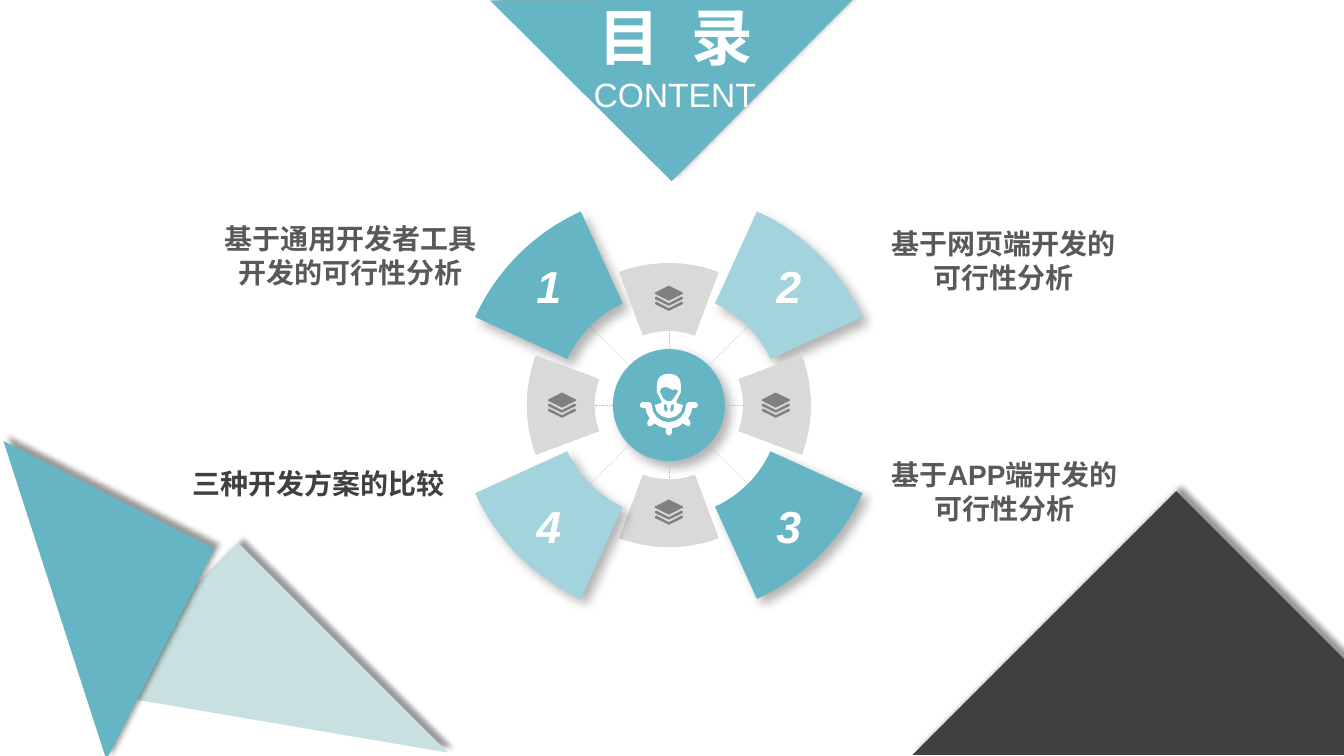
from math import cos, radians, sin

from lxml import etree
from pptx import Presentation
from pptx.dml.color import RGBColor
from pptx.enum import shapes, text
from pptx.oxml import ns
from pptx.util import Pt

TEAL = RGBColor(0x66, 0xB5, 0xC4)
LIGHT_TEAL = RGBColor(0xA3, 0xD3, 0xDD)
PALE = RGBColor(0xC8, 0xE0, 0xE0)
DARK = RGBColor(0x40, 0x40, 0x40)
TEXT_GREY = RGBColor(0x59, 0x59, 0x59)
ICON_GREY = RGBColor(0x80, 0x80, 0x80)
SECTOR_GREY = RGBColor(0xD9, 0xD9, 0xD9)
SPOKE_GREY = RGBColor(0xBF, 0xBF, 0xBF)
WHITE = RGBColor(0xFF, 0xFF, 0xFF)

LATIN, CJK = "Arial", "Noto Sans CJK SC"
CENTRE = (477.8, 289.4)
DISC_RADIUS = 40
PETAL_RADII = (79.7, 152)
SECTOR_RADII = (53, 101.5)
STACK_RADIUS = 76.4
HALF_SPAN = 20.55

# Icon outlines in hundredths of an inch around the icon centre.
ICON_UNIT = 0.72
STACK_TOP = [(0, -12.5), (14, -5.5), (14, -4.5), (0, 2.5), (-14, -4.5), (-14, -5.5)]
STACK_EDGE = [(-12.5, -1.5), (0, 5), (12.5, -1.5), (14, -0.5), (13.5, 1),
              (0, 7.5), (-13.5, 1), (-14, -0.5)]
WHEEL_HALF = [(0, 30), (2, 29), (3, 27), (3, 23), (9, 21.5), (14, 18), (17, 20),
              (19, 21), (21, 20), (21.5, 18), (21, 16), (19, 13), (22, 8), (23, 3),
              (26, 3), (28, 2), (29, 0), (28, -2), (26, -3), (20, -3), (18, -2),
              (17, 0), (15.7, 6.5), (12, 12), (6.5, 15.7), (0, 17)]
BODY_HALF = [(0, -31), (2, -31), (6, -30), (9, -28), (11, -25), (12, -20), (12, -13),
             (11, -11), (8, -5), (7, -3), (8, -2), (14, 0), (12, 6.5), (7, 11), (0, 13)]
FACE = [(-3, -18), (-8, -17), (-8, -15), (-9, -15), (-9, -13), (-8, -12), (-6, -7),
        (-2, -4), (2, -4), (5, -7), (8, -12), (9, -13), (9, -15), (8, -15),
        (7, -16), (4, -15), (0, -17)]
LAPEL = [(4, -1), (2, 0), (2, 2), (1, 3), (2, 6), (3, 7), (5, 4), (5, 0)]


def polar(radius, angle):
    """Point around the wheel centre, clockwise from the right."""
    return (CENTRE[0] + radius * cos(radians(angle)),
            CENTRE[1] + radius * sin(radians(angle)))


def mirror(points):
    return [(-x, y) for x, y in points]


def symmetric(half):
    return half + mirror(half)[::-1]


def paint(shape, colour):
    shape.shadow.inherit = False
    shape.fill.solid()
    shape.fill.fore_color.rgb = colour
    shape.line.fill.background()


def cast_shadow(shape, alpha, blur, distance, angle):
    effects = shape.element.spPr.find(ns.qn("a:effectLst"))
    shadow = etree.SubElement(
        effects, ns.qn("a:outerShdw"), blurRad=str(Pt(blur)), dist=str(Pt(distance)),
        dir=str(angle * 60000), algn="ctr", rotWithShape="0")
    colour = etree.SubElement(shadow, ns.qn("a:srgbClr"), val="000000")
    etree.SubElement(colour, ns.qn("a:alpha"), val=str(alpha * 1000))


def lift(shape):
    cast_shadow(shape, 30, 8, 6, 45)


def place(shape, left, top, width, height):
    shape.left, shape.top, shape.width, shape.height = map(Pt, (left, top, width, height))


def write(shape, lines, size, colour, align=text.PP_ALIGN.LEFT, bold=True,
          italic=False, font=LATIN, anchor=text.MSO_ANCHOR.TOP):
    frame = shape.text_frame
    frame.word_wrap = True
    frame.auto_size = text.MSO_AUTO_SIZE.NONE
    frame.vertical_anchor = anchor
    frame.text = "\n".join(lines)
    for para in frame.paragraphs:
        para.alignment = align
        para.line_spacing = 1.0
        para.space_before = Pt(0)
        para.font.size, para.font.name = Pt(size), font
        para.font.bold, para.font.italic = bold, italic
        para.font.color.rgb = colour
        properties = para._p.pPr.find(ns.qn("a:defRPr"))
        properties.find(ns.qn("a:latin")).addnext(
            properties.makeelement(ns.qn("a:ea"), typeface=CJK))


def add_label(page, spot, lines, size, colour, **style):
    box = page.shapes.add_textbox(*map(Pt, spot))
    write(box, lines, size, colour, **style)


def add_triangle(page, spot, rotation, colour):
    triangle = page.shapes.add_shape(
        shapes.MSO_SHAPE.RIGHT_TRIANGLE, *map(Pt, spot))
    triangle.rotation = rotation
    paint(triangle, colour)
    cast_shadow(triangle, 40, 4, 5, 315)
    return triangle


def add_outline(page, contours, colour):
    """Draw one freeform from closed contours given in points."""
    pen = None
    for contour in contours:
        start, *rest = [(Pt(x), Pt(y)) for x, y in contour]
        if pen is None:
            pen = page.shapes.build_freeform(*start)
        else:
            pen.move_to(*start)
        pen.add_line_segments(rest, close=True)
    outline = pen.convert_to_shape()
    paint(outline, colour)
    return outline


def add_icon(page, centre, contours, colour):
    add_outline(page, [[(centre[0] + x * ICON_UNIT, centre[1] + y * ICON_UNIT)
                        for x, y in contour] for contour in contours], colour)


def add_sector(page, angle, radii, colour):
    steps = 16
    sweep = [angle - HALF_SPAN + 2 * HALF_SPAN * i / steps for i in range(steps + 1)]
    inner, outer = radii
    edge = [polar(outer, a) for a in sweep] + [polar(inner, a) for a in sweep[::-1]]
    return add_outline(page, [edge], colour)


def add_spoke(page, angle):
    end_radius = PETAL_RADII[0] if angle % 90 else SECTOR_RADII[0]
    ends = polar(DISC_RADIUS, angle) + polar(end_radius, angle)
    spoke = page.shapes.add_connector(shapes.MSO_CONNECTOR.STRAIGHT, *map(Pt, ends))
    spoke.line.color.rgb = SPOKE_GREY
    spoke.line.width = Pt(0.25)
    etree.SubElement(spoke.line._get_or_add_ln(), ns.qn("a:prstDash"), val="dash")
    etree.SubElement(spoke.element.spPr, ns.qn("a:effectLst"))


def add_hub(page):
    x, y = CENTRE
    disc = page.shapes.add_shape(
        shapes.MSO_SHAPE.OVAL, Pt(x - DISC_RADIUS), Pt(y - DISC_RADIUS),
        Pt(2 * DISC_RADIUS), Pt(2 * DISC_RADIUS))
    paint(disc, TEAL)
    lift(disc)
    add_icon(page, CENTRE, [symmetric(WHEEL_HALF), symmetric(BODY_HALF), FACE,
                            LAPEL, mirror(LAPEL)], WHITE)


def add_wheel(page):
    add_hub(page)
    for angle in range(0, 360, 45):
        add_spoke(page, angle)
    add_sector(page, 90, SECTOR_RADII, SECTOR_GREY)
    for number, angle in ((3, 45), (4, 135), (2, 315), (1, 225)):
        petal = add_sector(page, angle, PETAL_RADII, TEAL if number % 2 else LIGHT_TEAL)
        lift(petal)
        write(petal, [str(number)], 32, WHITE, align=text.PP_ALIGN.CENTER,
              italic=True, anchor=text.MSO_ANCHOR.MIDDLE)
    for angle in (270, 0, 180):
        add_sector(page, angle, SECTOR_RADII, SECTOR_GREY)
    lower_edge = [(x, y + 5) for x, y in STACK_EDGE]
    for angle in range(0, 360, 90):
        add_icon(page, polar(STACK_RADIUS, angle),
                 [STACK_TOP, STACK_EDGE, lower_edge], ICON_GREY)


def add_title(page, banner):
    title = page.shapes.title
    banner.element.addnext(title.element)
    place(title, 420.5, -4.3, 160, 60.5)
    write(title, ["目 录"], 44, WHITE)
    title.text_frame.word_wrap = False
    title.text_frame.paragraphs[0].runs[0].font._element.set("spc", "600")


def main():
    deck = Presentation()
    deck.slide_width, deck.slide_height = Pt(960), Pt(540)
    page = deck.slides.add_slide(deck.slide_layouts[5])

    banner = add_triangle(page, (388, -91.4, 183, 183), 314.9, TEAL)
    add_title(page, banner)
    add_label(page, (416.9, 49, 140, 36), ["CONTENT"], 24, WHITE, bold=False)
    add_triangle(page, (117.4, 410.4, 149.8, 211), 135, PALE)
    add_triangle(page, (-45.4, 344.2, 169.2, 169.2), 207.1, TEAL)
    add_triangle(page, (707, 406, 266.4, 266.4), 135, DARK)
    add_wheel(page)

    centre = text.PP_ALIGN.CENTER
    for spot, lines in (
            ((628.6, 158.4, 176.4, 55.4), ["基于网页端开发的", "可行性分析"]),
            ((151.9, 154.8, 196.6, 55.4), ["基于通用开发者工具", "开发的可行性分析"]),
            ((629.3, 323.3, 177, 55.4), ["基于APP端开发的", "可行性分析"])):
        add_label(page, spot, lines, 20, TEXT_GREY, align=centre)
    add_label(page, (128.2, 329.8, 196.6, 31.7), ["三种开发方案的比较"], 20, DARK,
              align=text.PP_ALIGN.RIGHT, font=CJK)
    deck.save("out.pptx")


if __name__ == "__main__":
    main()
